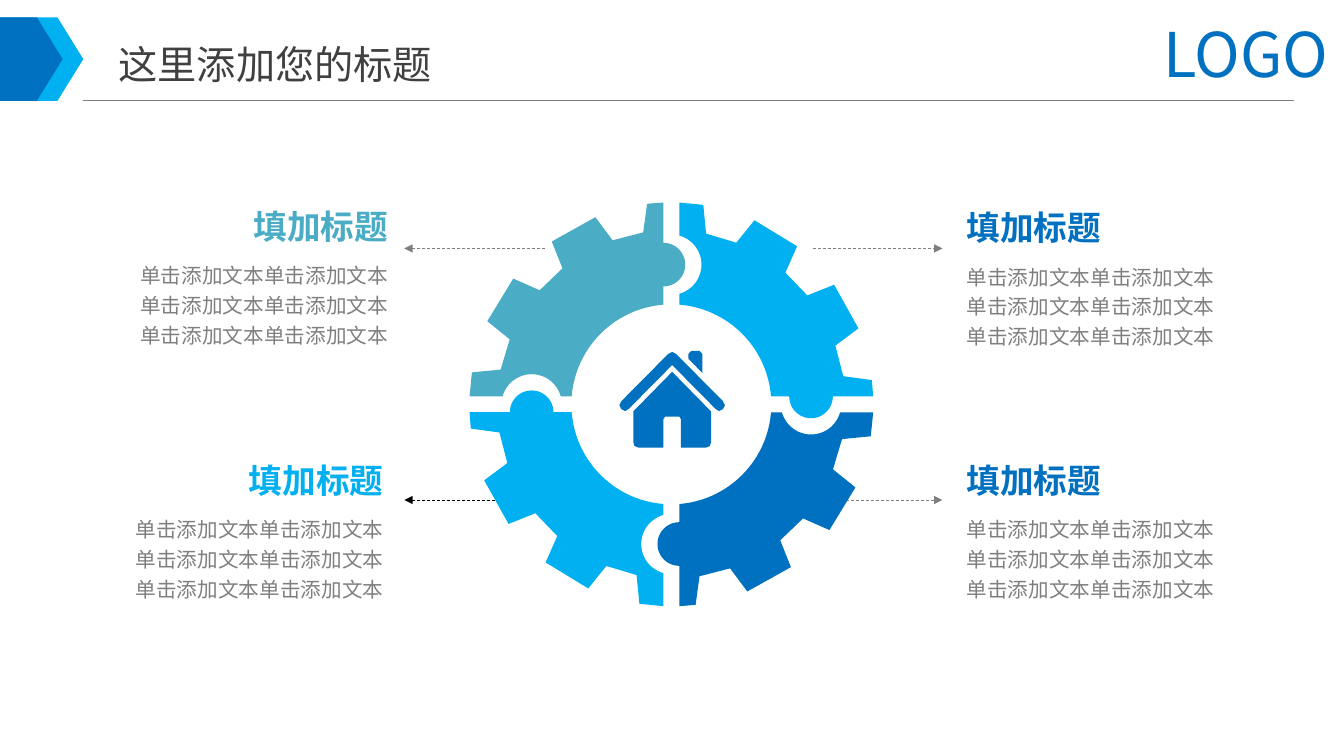
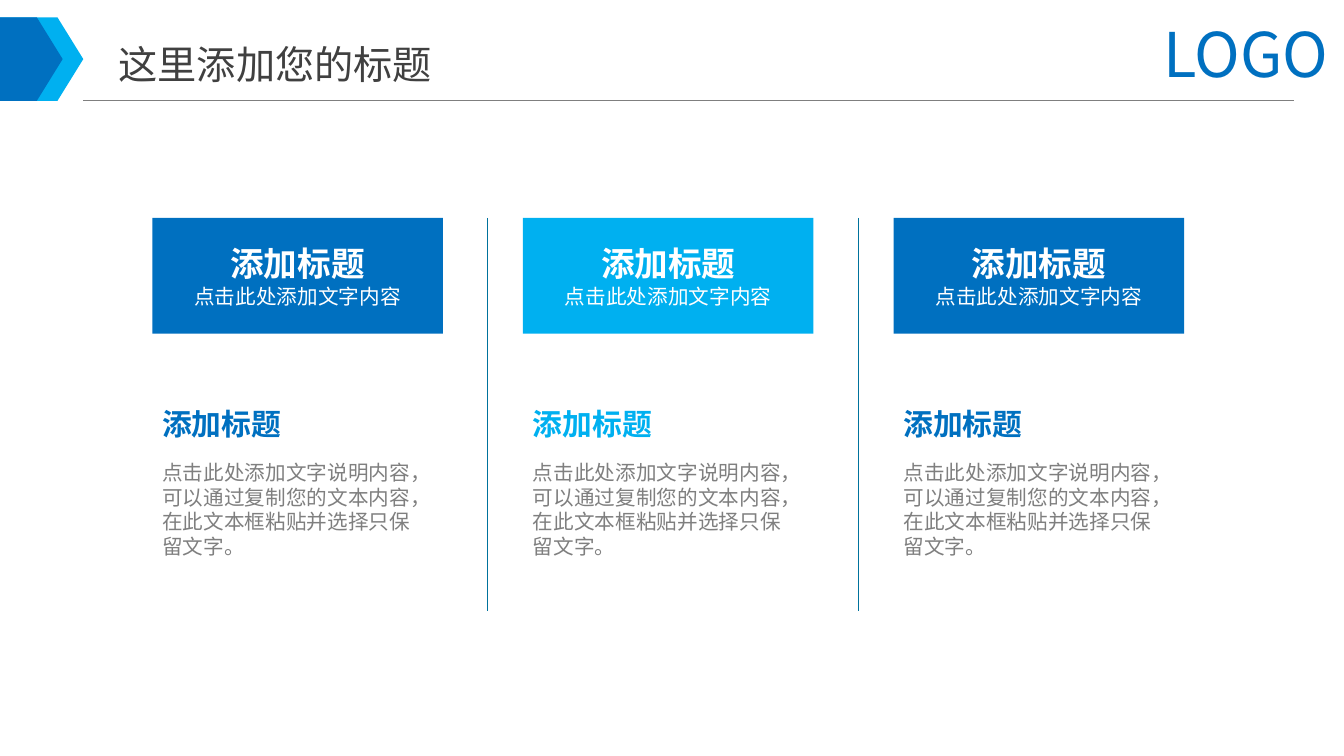
from dataclasses import dataclass
from math import asin, cos, degrees, radians, sin

from pptx import Presentation
from pptx.dml.color import RGBColor
from pptx.enum.dml import MSO_LINE_DASH_STYLE as Dash
from pptx.enum.shapes import MSO_CONNECTOR as Connector, MSO_SHAPE as Shape
from pptx.enum.text import MSO_ANCHOR as Anchor, PP_ALIGN as Align
from pptx.oxml.ns import qn
from pptx.util import Cm, Pt


@dataclass(frozen=True)
class Theme:
    blue: str = "0070C0"
    sky: str = "00B0F0"
    teal: str = "4BACC6"
    divider: str = "00729C"
    grey: str = "7F7F7F"
    dark: str = "404040"
    black: str = "000000"
    white: str = "FFFFFF"
    font: str = "Noto Sans CJK SC"
    mark_font: str = "Noto Sans CJK KR"
    mark: float = 44
    title: float = 28
    heading: float = 24
    subheading: float = 21.3
    body: float = 14.7


THEME = Theme()


@dataclass(frozen=True)
class Gear:
    """Gear lengths in cm and tooth angles in degrees."""
    x: float = 16.92
    y: float = 10.19
    tip: float = 5.09
    root: float = 4.39
    hole: float = 2.52
    half_gap: float = 0.2
    joint: float = 3.52
    knob: float = 0.55
    socket: float = 0.76
    first_tooth: float = 2
    tooth_pitch: float = 29.4
    half_tip: float = 7.1
    half_root: float = 9.5


GEAR = Gear()


def rgb(color):
    return RGBColor.from_string(color)


def paint(shape, color):
    shape.shadow.inherit = False
    shape.fill.solid()
    shape.fill.fore_color.rgb = rgb(color)
    shape.line.fill.background()


def write(paragraph, text, size, color, bold=False, font=THEME.font, align=Align.LEFT):
    paragraph.text = text
    paragraph.alignment = align
    style = paragraph.font
    style.name, style.size, style.bold = font, Pt(size), bold
    style.color.rgb = rgb(color)
    properties = paragraph._p.pPr.find(qn("a:defRPr"))
    east_asian = properties.makeelement(qn("a:ea"), {"typeface": font})
    properties.find(qn("a:latin")).addnext(east_asian)


def add_text_frame(slide, left, top, width, height, wrap=True):
    box = slide.shapes.add_textbox(Cm(left), Cm(top), Cm(width), Cm(height))
    box.text_frame.word_wrap = wrap
    return box.text_frame


def add_line(slide, start, end, color, width, arrow=False):
    line = slide.shapes.add_connector(
        Connector.STRAIGHT, *(Cm(value) for value in (*start, *end)))
    line.line.color.rgb = rgb(color)
    line.line.width = Pt(width)
    properties = line._element.spPr
    if arrow:
        line.line.dash_style = Dash.DASH
        outline = properties.find(qn("a:ln"))
        outline.append(outline.makeelement(qn("a:tailEnd"), {"type": "triangle"}))
    properties.append(properties.makeelement(qn("a:effectLst"), {}))


def add_outline(slide, contours, origin, color):
    """Draw closed contours, given in cm from the origin, as one shape."""
    placed = [[(Cm(origin[0] + x), Cm(origin[1] + y)) for x, y in contour]
              for contour in contours]
    builder = slide.shapes.build_freeform(*placed[0][0])
    for index, contour in enumerate(placed):
        if index:
            builder.move_to(*contour[0])
        builder.add_line_segments(contour[1:], close=True)
    paint(builder.convert_to_shape(), color)


def arc(x, y, radius, start, end, steps=24):
    """Points of an arc; angles run clockwise from the right, in degrees."""
    angles = [radians(start + (end - start) * i / steps) for i in range(steps + 1)]
    return [(x + radius * cos(angle), y + radius * sin(angle)) for angle in angles]


def gear_quarter():
    """Upper left quarter: teeth, knob on the right edge, socket below."""
    g = GEAR

    def gap_angle(radius):
        return degrees(asin(g.half_gap / radius))

    corners = [(g.tip, gap_angle(g.tip))]
    for tooth in range(4):
        middle = g.first_tooth + tooth * g.tooth_pitch
        if tooth > 0:
            corners += [(g.root, middle - g.half_root), (g.tip, middle - g.half_tip)]
        if tooth < 3:
            corners += [(g.tip, middle + g.half_tip), (g.root, middle + g.half_root)]
    corners.append((g.tip, 90 - gap_angle(g.tip)))
    rim = [arc(0, 0, radius, 180 + angle, 180 + angle, 1)[0] for radius, angle in corners]
    hole, socket = gap_angle(g.hole), gap_angle(g.socket)
    return (rim
            + arc(-g.half_gap, -g.joint, g.knob, -90, 90)
            + arc(0, 0, g.hole, 270 - hole, 180 + hole)
            + arc(-g.joint, 0, g.socket, 360 - socket, 180 + socket))


def add_gear(slide):
    quarter = gear_quarter()
    for color in (THEME.teal, THEME.sky, THEME.blue, THEME.sky):
        add_outline(slide, [quarter], (GEAR.x, GEAR.y), color)
        quarter = [(-y, x) for x, y in quarter]


def add_house(slide):
    def mirrored(half):
        return half + [(-x, y) for x, y in reversed(half)]

    chimney = [(0.41, 0.08), (0.48, 0), (0.69, 0), (0.76, 0.08), (0.76, 0.56), (0.41, 0.2)]
    roof = mirrored([(0, 0.03), (0.1, 0.08), (1.28, 1.27), (1.33, 1.37), (1.28, 1.47),
                     (1.18, 1.52), (1.09, 1.46), (0, 0.36)])
    walls = mirrored([(0, 0.53), (0.98, 1.53), (0.98, 2.3), (0.95, 2.4), (0.85, 2.44),
                      (0.22, 2.44), (0.22, 1.72), (0.18, 1.66)])
    add_outline(slide, [chimney, roof, walls], (16.94, 8.84), THEME.blue)


def add_header(slide):
    for width, color in ((2.1, THEME.sky), (1.58, THEME.blue)):
        height = 2.1
        tab = slide.shapes.add_shape(Shape.PENTAGON, 0, Cm(0.44), Cm(width), Cm(height))
        tab.adjustments[0] = 0.65 / min(width, height)
        paint(tab, color)
    add_line(slide, (2.1, 2.54), (32.6, 2.54), THEME.grey, 0.75)
    mark = add_text_frame(slide, 29.06, 0.28, 6.3, 2.13)
    write(mark.paragraphs[0], "LOGO", THEME.mark, THEME.blue, font=THEME.mark_font)
    title = add_text_frame(slide, 2.74, 0.89, 13.67, 1.45)
    write(title.paragraphs[0], "这里添加您的标题", THEME.title, THEME.dark)


def add_callout(slide, left, top, color, align):
    frame = add_text_frame(slide, left, top, 7.32, 4.52)
    frame.margin_left = frame.margin_right = Cm(0.33)
    frame.margin_top = frame.margin_bottom = Cm(0.18)
    heading, body = frame.paragraphs[0], frame.add_paragraph()
    write(heading, "填加标题", THEME.heading, color, bold=True, align=align)
    write(body, "单击添加文本" * 6, THEME.body, THEME.grey, align=align)
    heading.space_after = body.space_after = Pt(6)
    body.space_before = Pt(3)
    body.line_spacing = 1.2


def add_column(slide, left, color):
    card = slide.shapes.add_shape(Shape.RECTANGLE, Cm(left), Cm(5.49), Cm(7.32), Cm(2.92))
    paint(card, color)
    frame = card.text_frame
    frame.word_wrap, frame.vertical_anchor = True, Anchor.MIDDLE
    write(frame.paragraphs[0], "添加标题", THEME.heading, THEME.white,
          bold=True, align=Align.CENTER)
    write(frame.add_paragraph(), "点击此处添加文字内容", THEME.body, THEME.white,
          align=Align.CENTER)
    heading = add_text_frame(slide, left, 10.11, 3.56, 1.17, wrap=False)
    write(heading.paragraphs[0], "添加标题", THEME.subheading, color, bold=True)
    body = add_text_frame(slide, left, 11.46, 6.78, 2.77)
    write(body.paragraphs[0],
          "点击此处添加文字说明内容，可以通过复制您的文本内容，在此文本框粘贴并选择只保留文字。",
          THEME.body, THEME.grey)


def build_gear_slide(slide):
    add_header(slide)
    upper, lower, left_tip, right_tip = 6.26, 12.6, 10.19, 23.75
    for start, tip, y, color in (
            (12.6, left_tip, lower, THEME.black), (21.06, right_tip, lower, THEME.grey),
            (13.74, left_tip, upper, THEME.grey), (20.5, right_tip, upper, THEME.grey)):
        add_line(slide, (start, y), (tip, y), color, 0.5, arrow=True)
    add_gear(slide)
    add_house(slide)
    for left, top, color, align in (
            (2.79, 5, THEME.teal, Align.RIGHT), (2.67, 11.4, THEME.sky, Align.RIGHT),
            (24.03, 5.03, THEME.blue, Align.LEFT), (24.03, 11.4, THEME.blue, Align.LEFT)):
        add_callout(slide, left, top, color, align)


def build_columns_slide(slide):
    add_header(slide)
    for index, color in enumerate((THEME.blue, THEME.sky, THEME.blue)):
        left = 3.84 + index * 9.34
        if index:
            add_line(slide, (left - 0.9, 5.49), (left - 0.9, 15.39), THEME.divider, 0.25)
        add_column(slide, left, color)


def main():
    deck = Presentation()
    deck.slide_width, deck.slide_height = Cm(33.87), Cm(19.05)
    blank = deck.slide_layouts[6]
    for build in (build_gear_slide, build_columns_slide):
        build(deck.slides.add_slide(blank))
    deck.save("out.pptx")


if __name__ == "__main__":
    main()
